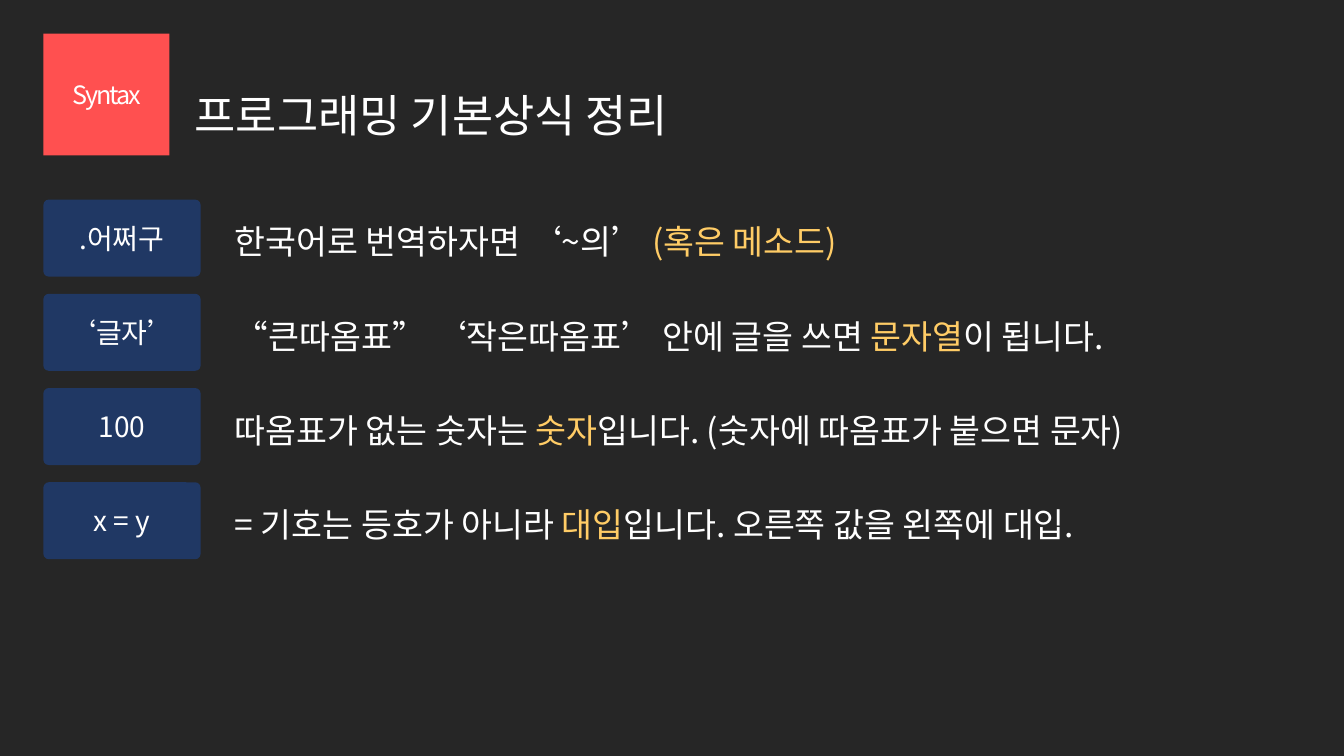
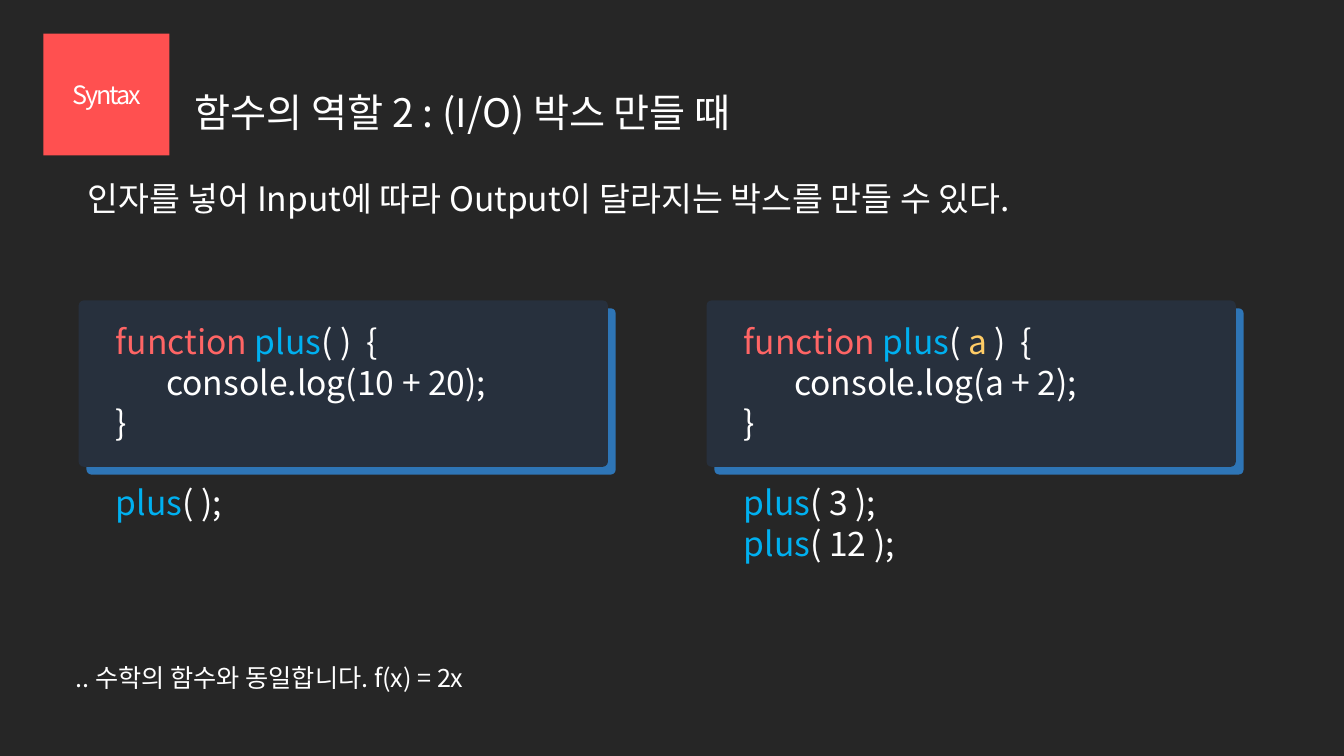
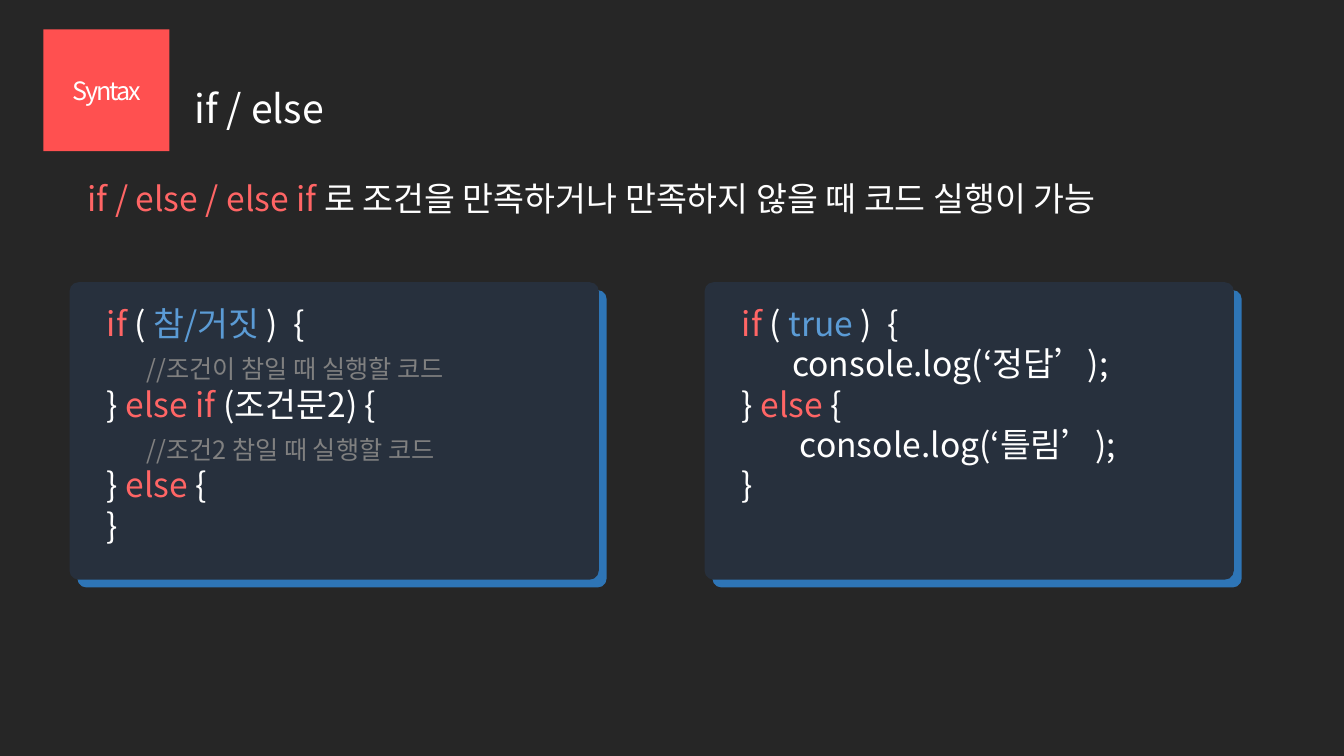
"""Build three dark slides that explain basic programming syntax."""
from dataclasses import dataclass

from lxml import etree
from pptx import Presentation
from pptx.dml.color import RGBColor
from pptx.enum.shapes import MSO_SHAPE
from pptx.enum.text import MSO_ANCHOR, PP_ALIGN
from pptx.oxml.ns import qn
from pptx.util import Pt

ROUNDED = MSO_SHAPE.ROUNDED_RECTANGLE
RECTANGLE = MSO_SHAPE.RECTANGLE
MIDDLE, TOP = MSO_ANCHOR.MIDDLE, MSO_ANCHOR.TOP
CENTER, LEFT = PP_ALIGN.CENTER, PP_ALIGN.LEFT


@dataclass(frozen=True)
class Theme:
    font: str = "Noto Sans CJK KR"
    background: str = "262626"
    white: str = "FFFFFF"
    gold: str = "FFCC66"
    badge: str = "FF5050"
    label: str = "203864"
    panel: str = "27303D"
    edge: str = "2E75B6"
    keyword: str = "FF6565"
    name: str = "00B0F0"
    value: str = "5B9BD5"
    comment: str = "808080"
    body_size: int = 24
    label_size: int = 20
    small_size: int = 18
    leading: float = 1.2
    title_leading: float = 1.8
    drop: float = 0.11


THEME = Theme()
WHITE, GOLD = THEME.white, THEME.gold
KEYWORD, NAME, VALUE = THEME.keyword, THEME.name, THEME.value
BODY, SMALL = THEME.body_size, THEME.small_size
NOTE = (THEME.comment, SMALL)

SLIDE_SIZE = (960, 540)
BADGE = dict(left=31, width=90, height=87, text="Syntax", spacing=-150)
TITLE = dict(left=132, offset=9, width=690, height=71.3)
ROWS = dict(left=31, top=142.6, width=112.3, height=55, pitch=67.3,
            text_left=160.6, text_offset=9.3, text_width=764)
LEAD_BOX = (55.4, 121, 826, 36)
FOOT_BOX = (46.8, 467.3, 464, 36)
PANEL = dict(width=378, edge=5.6, text_left=19.5, text_top=8.6, text_width=400)

GLOSSARY = dict(badge_top=24, title="프로그래밍 기본상식 정리", title_size=32, rows=[
    (".어쩌구", [("한국어로 번역하자면 ‘~의’ ", WHITE), ("(혹은 메소드)", GOLD)]),
    ("‘글자’", [("“큰따옴표” ‘작은따옴표’ 안에 글을 쓰면 ", WHITE),
              ("문자열", GOLD), ("이 됩니다.", WHITE)]),
    ("100", [("따옴표가 없는 숫자는 ", WHITE), ("숫자", GOLD),
             ("입니다. (숫자에 따옴표가 붙으면 문자)", WHITE)]),
    ("x = y", [("= 기호는 등호가 아니라 ", WHITE), ("대입", GOLD),
               ("입니다. 오른쪽 값을 왼쪽에 대입.", WHITE)]),
])

FUNCTIONS = dict(
    badge_top=24, title="함수의 역할 2 : (I/O) 박스 만들 때", title_size=28,
    lead=[("인자를 넣어 Input에 따라 Output이 달라지는 박스를 만들 수 있다.", WHITE)],
    foot=[(".. 수학의 함수와 동일합니다. f(x) = 2x", WHITE, SMALL)],
    panel_top=214.6, panel_height=118.8,
    panels=[
        (56.2, [
            [("function ", KEYWORD), ("plus", NAME), ("( )  {", WHITE)],
            [("\tconsole.log(10 + 20);", WHITE)],
            [("}", WHITE)],
        ], [
            [("plus", NAME), ("( );", WHITE)],
        ]),
        (504.7, [
            [("function ", KEYWORD), ("plus", NAME), ("( ", WHITE), ("a ", GOLD),
             (")  {", WHITE)],
            [("\tconsole.log(a + 2);", WHITE)],
            [("}", WHITE)],
        ], [
            [("plus", NAME), ("( 3 );", WHITE)],
            [("plus", NAME), ("( 12 );", WHITE)],
        ]),
    ])

CONDITIONS = dict(
    badge_top=21, title="if / else", title_size=28,
    lead=[("if / else / else if ", KEYWORD),
          ("로 조건을 만족하거나 만족하지 않을 때 코드 실행이 가능", WHITE)],
    foot=None, panel_top=201.6, panel_height=212.4,
    panels=[
        (49.7, [
            [("if ", KEYWORD), ("( ", WHITE), ("참/거짓 ", VALUE), (")  {", WHITE)],
            [("       //조건이 참일 때 실행할 코드", *NOTE)],
            [("} ", WHITE), ("else if ", KEYWORD), ("(조건문2) {", WHITE)],
            [("       //조건2 참일 때 실행할 코드", *NOTE)],
            [("} ", WHITE), ("else", KEYWORD), (" {", WHITE)],
            [("}", WHITE)],
        ], []),
        (503.3, [
            [("if ", KEYWORD), ("( ", WHITE), ("true ", VALUE), (")  {", WHITE)],
            [("\tconsole.log(‘정답’);", WHITE)],
            [("} ", WHITE), ("else ", KEYWORD), ("{", WHITE)],
            [("\t console.log(‘틀림’);", WHITE)],
            [("}", WHITE)],
        ], []),
    ])


def points(*lengths):
    return [Pt(length) for length in lengths]


def apply(target, **values):
    for key, value in values.items():
        setattr(target, key, value)


def add_span(para, text, color, size=BODY, spacing=None):
    span = para.add_run()
    span.text = text
    apply(span.font, name=THEME.font, size=Pt(size))
    span.font.color.rgb = RGBColor.from_string(color)
    properties = span.font._element
    etree.SubElement(properties, qn("a:ea")).set("typeface", THEME.font)
    if spacing is not None:
        properties.set("spc", str(spacing))


def add_text(page, area, paras, size=BODY, leading=THEME.leading, anchor=TOP, gap_at=None):
    left, top, width, height = area
    box = page.shapes.add_textbox(*points(left, top + size * THEME.drop, width, height))
    frame = box.text_frame
    apply(frame, word_wrap=True, vertical_anchor=anchor)
    line_height = Pt(size * leading)
    for index, spans in enumerate(paras):
        para = frame.paragraphs[0] if index == 0 else frame.add_paragraph()
        apply(para, alignment=LEFT, line_spacing=line_height)
        if index == gap_at:
            para.space_before = line_height
        for span in spans:
            add_span(para, *span)


def add_block(page, area, color, preset=ROUNDED, corner=None):
    block = page.shapes.add_shape(preset, *points(*area))
    block.shadow.inherit = False
    block.fill.solid()
    block.fill.fore_color.rgb = RGBColor.from_string(color)
    block.line.fill.background()
    if corner is not None:
        block.adjustments[0] = corner
    return block


def add_caption(block, text, size, spacing=None):
    frame = block.text_frame
    apply(frame, word_wrap=True, vertical_anchor=MIDDLE)
    para = frame.paragraphs[0]
    para.alignment = CENTER
    add_span(para, text, WHITE, size, spacing)


def add_page(deck, content):
    page = deck.slides.add_slide(deck.slide_layouts[6])
    page.background.fill.solid()
    page.background.fill.fore_color.rgb = RGBColor.from_string(THEME.background)
    top, size = content["badge_top"], content["title_size"]
    badge = add_block(page, (BADGE["left"], top, BADGE["width"], BADGE["height"]),
                      THEME.badge, RECTANGLE)
    add_caption(badge, BADGE["text"], SMALL, BADGE["spacing"])
    area = (TITLE["left"], top + TITLE["offset"], TITLE["width"], TITLE["height"])
    add_text(page, area, [[(content["title"], WHITE, size)]], size,
             THEME.title_leading, MIDDLE)
    return page


def add_glossary(deck, content):
    page = add_page(deck, content)
    for index, (term, meaning) in enumerate(content["rows"]):
        top = ROWS["top"] + index * ROWS["pitch"]
        label = add_block(page, (ROWS["left"], top, ROWS["width"], ROWS["height"]),
                          THEME.label, corner=0.07)
        add_caption(label, term, THEME.label_size)
        add_text(page, (ROWS["text_left"], top + ROWS["text_offset"],
                        ROWS["text_width"], 36), [meaning])


def add_code_page(deck, content):
    page = add_page(deck, content)
    add_text(page, LEAD_BOX, [content["lead"]])
    top, height = content["panel_top"], content["panel_height"]
    for left, code, calls in content["panels"]:
        for shift, color in ((PANEL["edge"], THEME.edge), (0, THEME.panel)):
            add_block(page, (left + shift, top + shift, PANEL["width"], height),
                      color, corner=0.03)
        lines = code + calls
        text_height = (len(lines) + bool(calls)) * BODY * THEME.leading + 7.2
        add_text(page, (left + PANEL["text_left"], top + PANEL["text_top"],
                        PANEL["text_width"], text_height), lines, gap_at=len(code))
    if content["foot"]:
        add_text(page, FOOT_BOX, [content["foot"]], SMALL)


def main():
    deck = Presentation()
    deck.slide_width, deck.slide_height = points(*SLIDE_SIZE)
    add_glossary(deck, GLOSSARY)
    for content in (FUNCTIONS, CONDITIONS):
        add_code_page(deck, content)
    deck.save("out.pptx")


if __name__ == "__main__":
    main()
